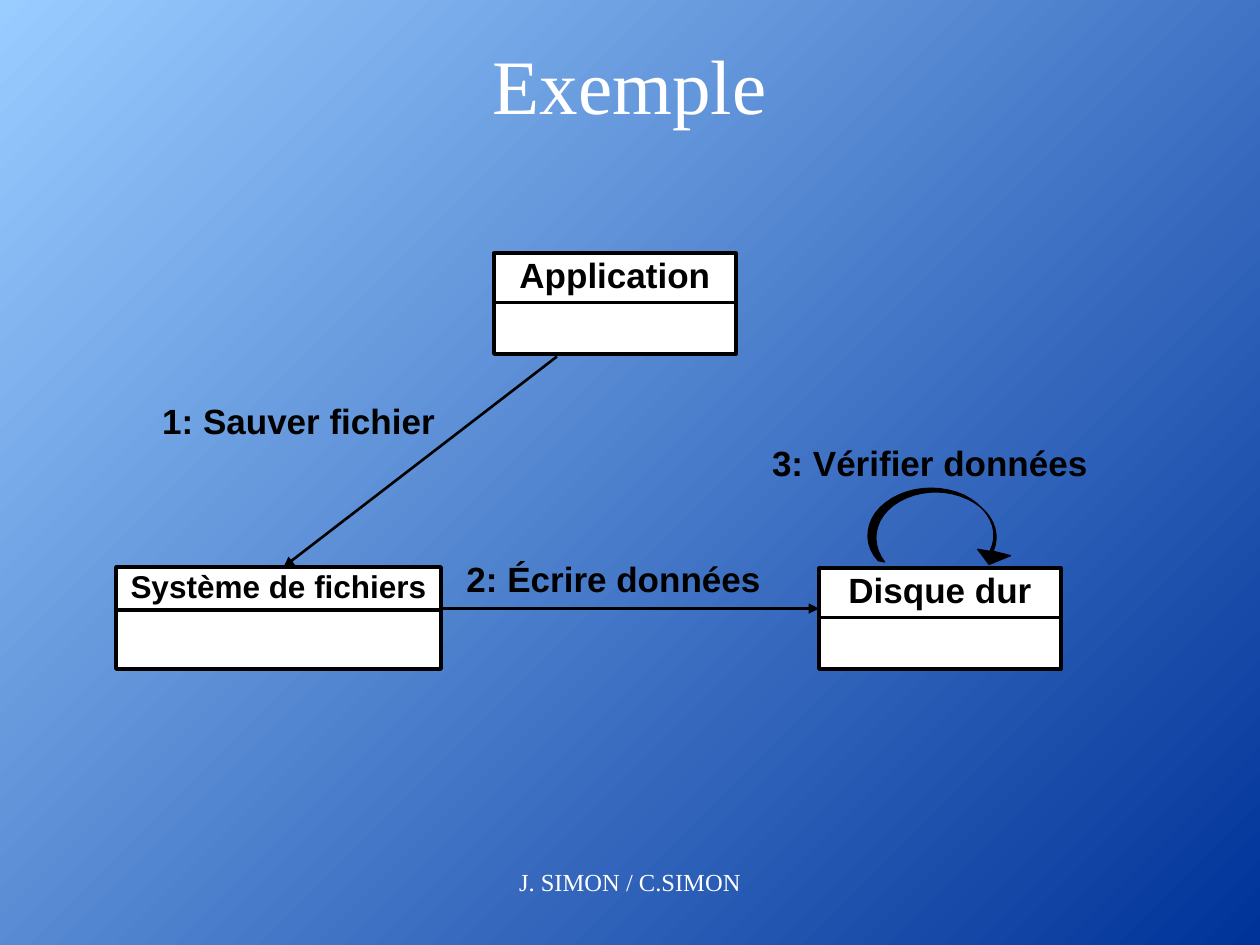
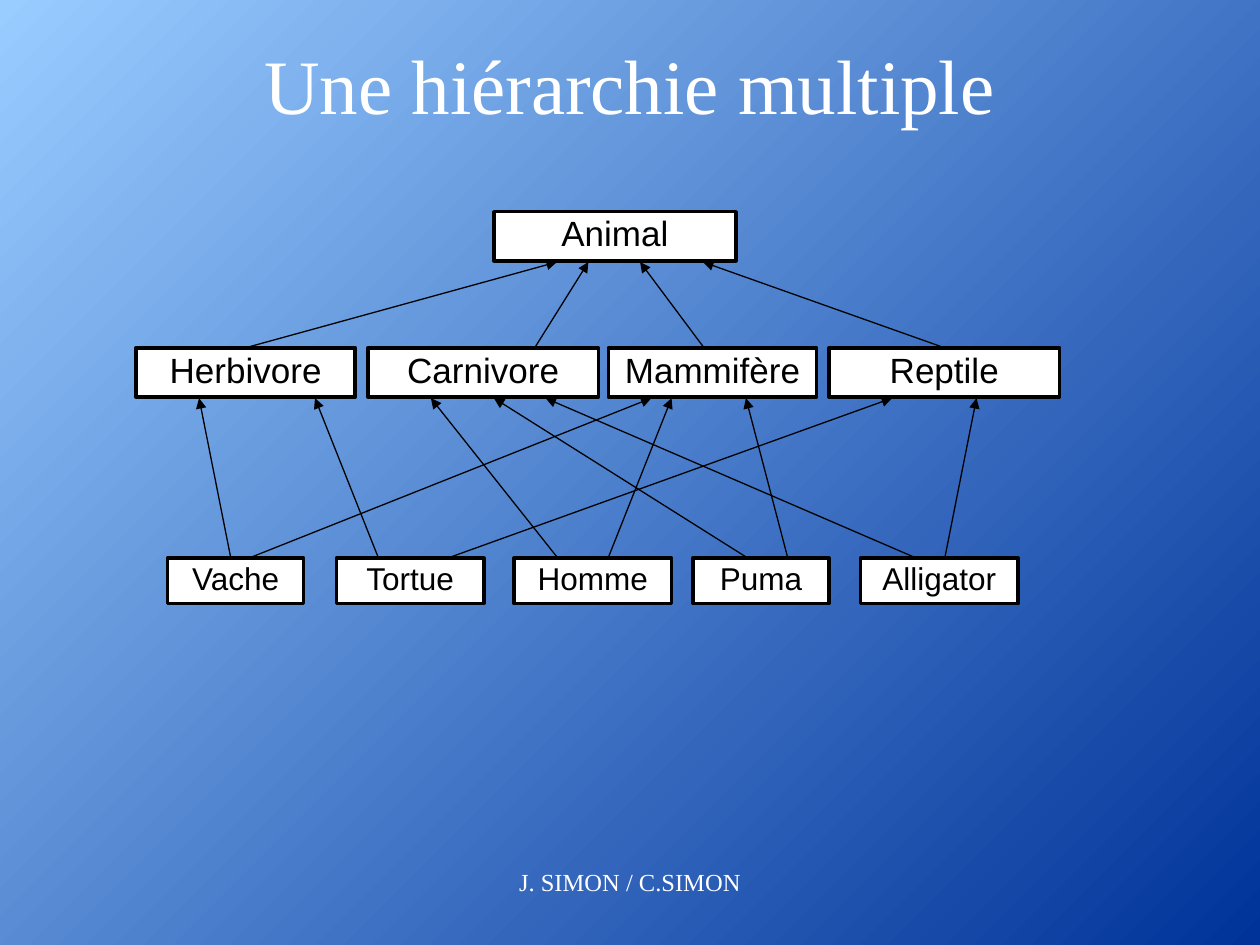
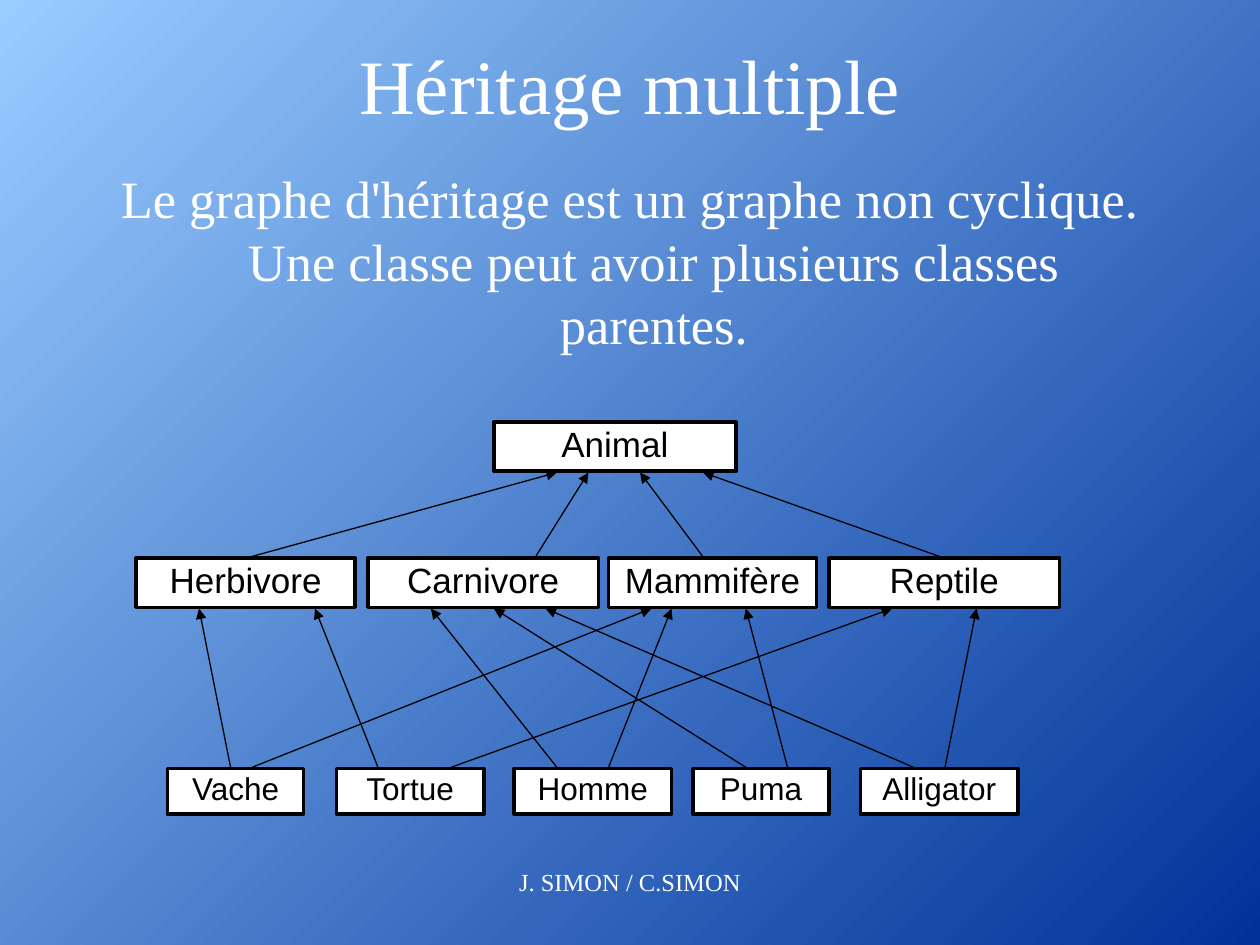
import pptx
import pptx.util
import pptx.dml.color
import pptx.enum.shapes
import pptx.enum.text
import pptx.oxml.ns
from lxml import etree

Inches = pptx.util.Inches
Pt = pptx.util.Pt
ALIGN = pptx.enum.text.PP_ALIGN
ANCHOR = pptx.enum.text.MSO_ANCHOR

NAVY, SKY, WHITE, BLACK = "003399", "99CCFF", "FFFFFF", "000000"
SERIF, SANS = "Times New Roman", "Arial"
AUTHORS = "J. SIMON / C.SIMON"

OBJECTS = [
    ("Application", 3.92, 2.01, 1.92, 0.39, 0.41, 20),
    ("Système de fichiers", 0.92, 4.5, 2.58, 0.34, 0.47, 18),
    ("Disque dur", 6.5, 4.51, 1.92, 0.39, 0.41, 20),
]
MESSAGES = [
    ("1: Sauver fichier", 1.08, 3.17, 2.58),
    ("2: Écrire données", 3.58, 4.42, 2.58),
    ("3: Vérifier données", 5.92, 3.5, 2.92),
]
CALLS = [((4.42, 2.83), (2.25, 4.5)), ((3.5, 4.83), (6.5, 4.83))]
LOOP_START = (7.88, 4.38)
LOOP_OUTLINE = [
    [(7.95, 4.22), (7.87, 4.05), (7.68, 3.96)],
    [(7.49, 3.87), (7.25, 3.89), (7.09, 4.01)],
    [(6.93, 4.13), (6.91, 4.32), (7.02, 4.46)],
    [(6.97, 4.45)],
    [(6.84, 4.31), (6.87, 4.11), (7.03, 3.99)],
    [(7.2, 3.86), (7.45, 3.84), (7.65, 3.93)],
    [(7.85, 4.03), (7.94, 4.21), (7.86, 4.37)],
    [(8.02, 4.41)],
    [(7.85, 4.48)],
    [(7.76, 4.36)],
]

LEVELS = [
    (0, 0.39, 20, [("Animal", 3.92, 1.92)]),
    (1.08, 0.39, 20, [("Herbivore", 1.08, 1.74), ("Carnivore", 2.92, 1.83),
                      ("Mammifère", 4.83, 1.65), ("Reptile", 6.58, 1.83)]),
    (2.75, 0.36, 18, [("Vache", 1.33, 1.08), ("Tortue", 2.67, 1.17),
                      ("Homme", 4.08, 1.25), ("Puma", 5.5, 1.08),
                      ("Alligator", 6.83, 1.25)]),
]
MIDDLE = None
INHERITS = [
    ("Herbivore", MIDDLE, "Animal", 4.42),
    ("Carnivore", 4.25, "Animal", 4.67),
    ("Mammifère", 5.58, "Animal", 5.08),
    ("Reptile", MIDDLE, "Animal", 5.58),
    ("Vache", 1.83, "Herbivore", 1.58),
    ("Vache", 2, "Mammifère", 5.17),
    ("Tortue", 3, "Herbivore", 2.5),
    ("Tortue", 3.58, "Reptile", 7.08),
    ("Homme", 4.42, "Carnivore", 3.42),
    ("Homme", 4.83, "Mammifère", 5.33),
    ("Puma", 5.92, "Carnivore", 3.92),
    ("Puma", 6.25, "Mammifère", 5.92),
    ("Alligator", 7.25, "Carnivore", 4.33),
    ("Alligator", 7.5, "Reptile", 7.75),
]
RULE = ("Le graphe d'héritage est un graphe non cyclique. "
        "Une classe peut avoir plusieurs classes parentes.")


def rgb(color):
    return pptx.dml.color.RGBColor.from_string(color)


def write(shape, text, size, font, color, bold=False, anchor=ANCHOR.TOP, wrap=True):
    frame = shape.text_frame
    frame.word_wrap = wrap
    frame.vertical_anchor = anchor
    frame.text = text
    paragraph = frame.paragraphs[0]
    paragraph.alignment = ALIGN.CENTER
    paragraph.font.size = Pt(size)
    paragraph.font.name = font
    paragraph.font.bold = bold
    paragraph.font.color.rgb = rgb(color)
    return paragraph


def add_text(slide, text, left, top, width, height, size, font, color, **style):
    area = slide.shapes.add_textbox(*map(Inches, (left, top, width, height)))
    return write(area, text, size, font, color, **style)


def paint(shape, fill, line_width):
    shape.shadow.inherit = False
    shape.fill.solid()
    shape.fill.fore_color.rgb = rgb(fill)
    shape.line.color.rgb = rgb(BLACK)
    shape.line.width = Pt(line_width)


def add_box(slide, left, top, width, height, label=None, size=20, bold=False):
    box = slide.shapes.add_shape(pptx.enum.shapes.MSO_SHAPE.RECTANGLE,
                                 *map(Inches, (left, top, width, height)))
    paint(box, WHITE, 2)
    if label:
        write(box, label, size, SANS, BLACK, bold, ANCHOR.MIDDLE, False).line_spacing = 0.85
    return box


def add_arrow(slide, start, end, width):
    arrow = slide.shapes.add_connector(pptx.enum.shapes.MSO_CONNECTOR.STRAIGHT,
                                       *map(Inches, start + end))
    arrow.line.color.rgb = rgb(BLACK)
    arrow.line.width = Pt(width)
    tip = etree.SubElement(arrow.line._get_or_add_ln(), pptx.oxml.ns.qn("a:tailEnd"))
    tip.set("type", "triangle")
    etree.SubElement(arrow._element.spPr, pptx.oxml.ns.qn("a:effectLst"))
    return arrow


def curve(start, control1, control2, end, steps=10):
    for step in range(1, steps + 1):
        t = step / steps
        u = 1 - t
        yield tuple(u**3 * a + 3 * u * u * t * b + 3 * u * t * t * c + t**3 * d
                    for a, b, c, d in zip(start, control1, control2, end))


def add_loop(slide):
    outline = [LOOP_START]
    for segment in LOOP_OUTLINE:
        outline += curve(outline[-1], *segment) if len(segment) == 3 else segment
    points = [tuple(map(Inches, point)) for point in outline]
    builder = slide.shapes.build_freeform(*points[0])
    builder.add_line_segments(points[1:], close=True)
    paint(builder.convert_to_shape(), BLACK, 0.75)


def add_slide(prs, title):
    slide = prs.slides.add_slide(prs.slide_layouts[6])
    fill = slide.background.fill
    fill.gradient()
    fill.gradient_angle = 135
    for stop, color in zip(fill.gradient_stops, (NAVY, SKY)):
        stop.color.rgb = rgb(color)
    add_text(slide, title, 0.75, 0.25, 8.5, 0.67, 44, SERIF, WHITE)
    add_text(slide, AUTHORS, 3, 6.83, 4, 0.5, 14, SERIF, WHITE)
    return slide


def add_collaboration(slide):
    for name, left, top, width, head, body, size in OBJECTS:
        add_box(slide, left, top, width, head, name, size, True)
        add_box(slide, left, top + head, width, body)
    for start, end in CALLS:
        add_arrow(slide, start, end, 1.5)
    for message, left, top, width in MESSAGES:
        add_text(slide, message, left, top, width, 0.39, 20, SANS, BLACK, bold=True,
                 anchor=ANCHOR.MIDDLE, wrap=False).line_spacing = 0.85
    add_loop(slide)


def add_hierarchy(slide, top):
    gap = 0.01
    classes = {}
    for drop, height, size, members in LEVELS:
        for name, left, width in members:
            box = add_box(slide, left, top + drop, width, height, name, size)
            classes[name] = (box, left + width / 2, top + drop, top + drop + height)
    for child, child_x, parent, parent_x in INHERITS:
        box, center, child_top, _ = classes[child]
        parent_bottom = classes[parent][3]
        start_x = center if child_x is MIDDLE else child_x
        arrow = add_arrow(slide, (start_x, child_top - gap),
                          (parent_x, parent_bottom + gap), 0.75)
        if child_x is MIDDLE:
            arrow.begin_connect(box, 0)


def main():
    prs = pptx.Presentation()
    prs.slide_width, prs.slide_height = Inches(10), Inches(7.5)

    add_collaboration(add_slide(prs, "Exemple"))

    add_hierarchy(add_slide(prs, "Une hiérarchie multiple"), 1.68)

    inheritance = add_slide(prs, "Héritage multiple")
    rule = add_text(inheritance, RULE, 0.75, 1.27, 8.5, 5.4, 30, SERIF, WHITE)
    rule.line_spacing = Pt(36)
    indent = rule._p.get_or_add_pPr()
    indent.set("marL", str(Inches(0.38)))
    indent.set("indent", str(-Inches(0.38)))
    add_hierarchy(inheritance, 3.35)

    prs.save("out.pptx")


if __name__ == "__main__":
    main()
